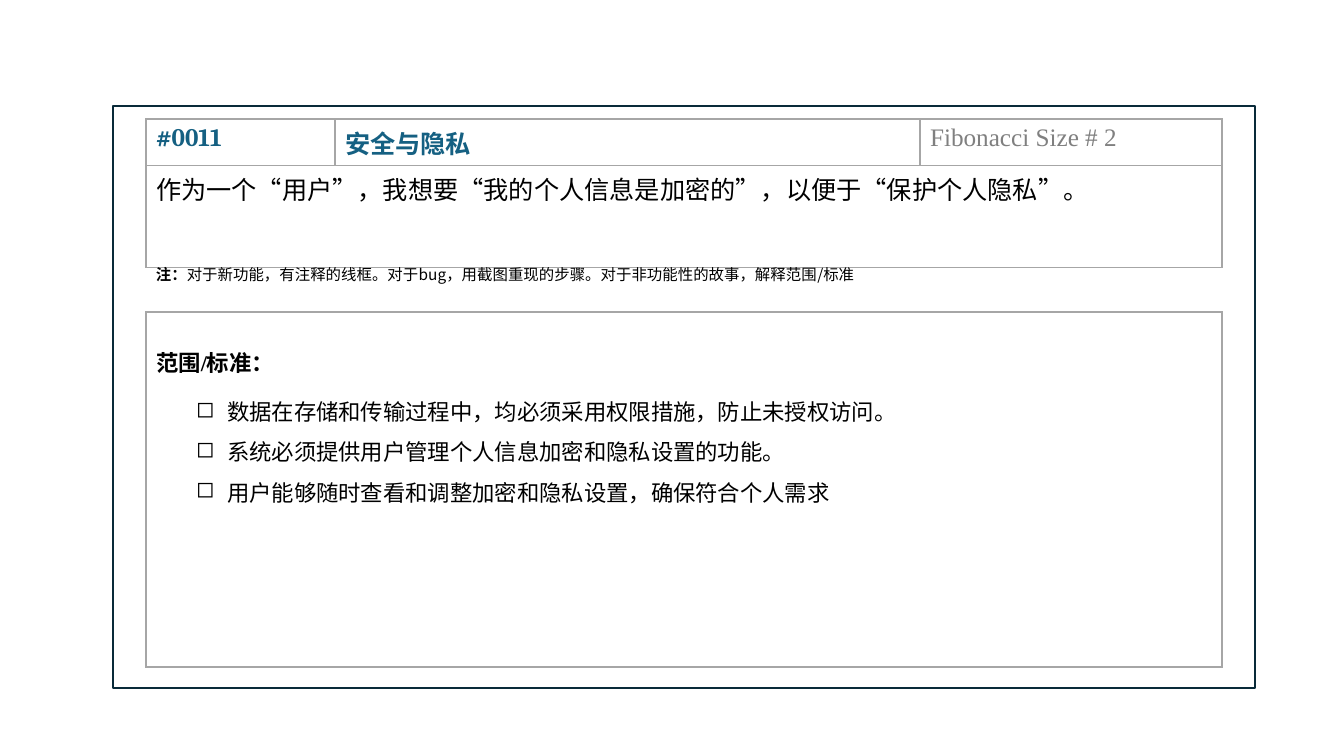
from dataclasses import dataclass

from lxml.etree import SubElement
from pptx import Presentation
from pptx.dml.color import RGBColor
from pptx.enum.shapes import MSO_SHAPE
from pptx.enum.text import MSO_AUTO_SIZE, PP_ALIGN
from pptx.oxml.ns import qn
from pptx.slide import Slide
from pptx.table import Table, _Cell
from pptx.text.text import TextFrame
from pptx.util import Pt

EMU_PER_PX = 914400 / 100.8


@dataclass(frozen=True)
class Theme:
    frame: str = "092A39"
    border: str = "A6A6A6"
    accent: str = "156082"
    muted: str = "808080"
    ink: str = "000000"
    heading_size: int = 18
    body_size: int = 16
    note_size: int = 11
    number_font: str = "Cambria"
    title_font: str = "Noto Sans CJK JP"
    chinese_font: str = "Noto Sans CJK SC"
    latin_font: str = "Times New Roman"


THEME = Theme()


@dataclass(frozen=True)
class Span:
    text: str
    size: int
    color: str = THEME.ink
    bold: bool = False
    latin: str = THEME.latin_font
    chinese: str = THEME.chinese_font


@dataclass(frozen=True)
class Para:
    spans: tuple[Span, ...]
    format: dict
    bullet: str = ""


@dataclass(frozen=True)
class Box:
    left: int
    top: int
    width: int
    height: int

    def emu(self) -> tuple[int, ...]:
        return tuple(px(side) for side in (self.left, self.top, self.width, self.height))


def px(length: int) -> int:
    return round(length * EMU_PER_PX)


FRAME = Box(113, 106, 1142, 582)
HEADER = Box(146, 119, 1076, 148)
NOTE = Box(146, 260, 1076, 29)
SCOPE = Box(146, 312, 1076, 355)
HEADER_COLUMNS = (189, 585, 302)
HEADER_ROWS = (46, 102)
SCOPE_TOP_MARGIN = 34
BULLET_TEXT, BULLET_HANG = 71, 31

HEADINGS = (
    Span("#0011", THEME.heading_size, THEME.accent, True, THEME.number_font),
    Span("安全与隐私", THEME.heading_size, THEME.accent, True, THEME.title_font, THEME.title_font),
    Span("Fibonacci Size # 2", THEME.heading_size, THEME.muted),
)
STORY = Span("作为一个“用户”，我想要“我的个人信息是加密的”，以便于“保护个人隐私”。", THEME.heading_size)
NOTE_SPANS = (
    Span("注：", THEME.note_size, bold=True, latin=THEME.chinese_font),
    Span(
        "对于新功能，有注释的线框。对于bug，用截图重现的步骤。对于非功能性的故事，解释范围/标准",
        THEME.note_size,
        latin=THEME.chinese_font,
    ),
)
SCOPE_HEADING = Span("范围/标准：", THEME.body_size, bold=True)
CRITERIA = (
    "数据在存储和传输过程中，均必须采用权限措施，防止未授权访问。",
    "系统必须提供用户管理个人信息加密和隐私设置的功能。",
    "用户能够随时查看和调整加密和隐私设置，确保符合个人需求",
)


def write(frame: TextFrame, paras: list[Para]) -> None:
    for index, para in enumerate(paras):
        line = frame.add_paragraph() if index else frame.paragraphs[0]
        for name, value in para.format.items():
            setattr(line, name, value)
        if para.bullet:
            properties = line._p.get_or_add_pPr()
            properties.set("marL", str(px(BULLET_TEXT)))
            properties.set("indent", str(-px(BULLET_HANG)))
            SubElement(properties, qn("a:buChar"), char=para.bullet)
        for span in para.spans:
            run = line.add_run()
            run.text = span.text
            values = {"name": span.latin, "size": Pt(span.size), "bold": span.bold}
            for name, value in values.items():
                setattr(run.font, name, value)
            run.font.color.rgb = RGBColor.from_string(span.color)
            properties = run._r.get_or_add_rPr()
            properties.set("lang", "zh-CN")
            SubElement(properties, qn("a:ea"), typeface=span.chinese)


def outline_cell(cell: _Cell) -> None:
    properties = cell._tc.get_or_add_tcPr()
    for side in ("lnL", "lnR", "lnT", "lnB"):
        line = SubElement(properties, qn(f"a:{side}"), w=str(Pt(1)))
        fill = SubElement(line, qn("a:solidFill"))
        SubElement(fill, qn("a:srgbClr"), val=THEME.border)
    cell.fill.background()


def add_grid(page: Slide, box: Box, columns: tuple[int, ...], rows: tuple[int, ...]) -> Table:
    """Add a plain outlined table with the given column widths and row heights."""
    table = page.shapes.add_table(len(rows), len(columns), *box.emu()).table
    table.first_row = table.horz_banding = False
    for column, width in zip(table.columns, columns):
        column.width = px(width)
    for row, height in zip(table.rows, rows):
        row.height = px(height)
    for cell in table.iter_cells():
        outline_cell(cell)
    return table


def add_frame(page: Slide) -> None:
    card = page.shapes.add_shape(MSO_SHAPE.RECTANGLE, *FRAME.emu())
    card.shadow.inherit = False
    card.fill.background()
    card.line.color.rgb = RGBColor.from_string(THEME.frame)
    card.line.width = Pt(1.5)


def add_header(page: Slide) -> None:
    table = add_grid(page, HEADER, HEADER_COLUMNS, HEADER_ROWS)
    for column, heading in enumerate(HEADINGS):
        write(table.cell(0, column).text_frame, [Para((heading,), {})])
    story = table.cell(1, 0)
    story.merge(table.cell(1, len(HEADER_COLUMNS) - 1))
    write(story.text_frame, [Para((STORY,), {"alignment": PP_ALIGN.JUSTIFY})])


def add_note(page: Slide) -> None:
    frame = page.shapes.add_textbox(*NOTE.emu()).text_frame
    frame.word_wrap = True
    frame.auto_size = MSO_AUTO_SIZE.SHAPE_TO_FIT_TEXT
    write(frame, [Para(NOTE_SPANS, {})])


def add_scope(page: Slide) -> None:
    cell = add_grid(page, SCOPE, (SCOPE.width,), (SCOPE.height,)).cell(0, 0)
    cell.margin_top = px(SCOPE_TOP_MARGIN)
    heading = Para((SCOPE_HEADING,), {"space_after": Pt(6)})
    criteria = [
        Para((Span(text, THEME.body_size),), {"line_spacing": 1.25}, "◻") for text in CRITERIA
    ]
    write(cell.text_frame, [heading, *criteria])


def main() -> None:
    deck = Presentation()
    deck.slide_width, deck.slide_height = px(1344), px(756)
    page = deck.slides.add_slide(deck.slide_layouts[6])
    for add_part in (add_frame, add_header, add_note, add_scope):
        add_part(page)
    deck.save("out.pptx")


if __name__ == "__main__":
    main()
